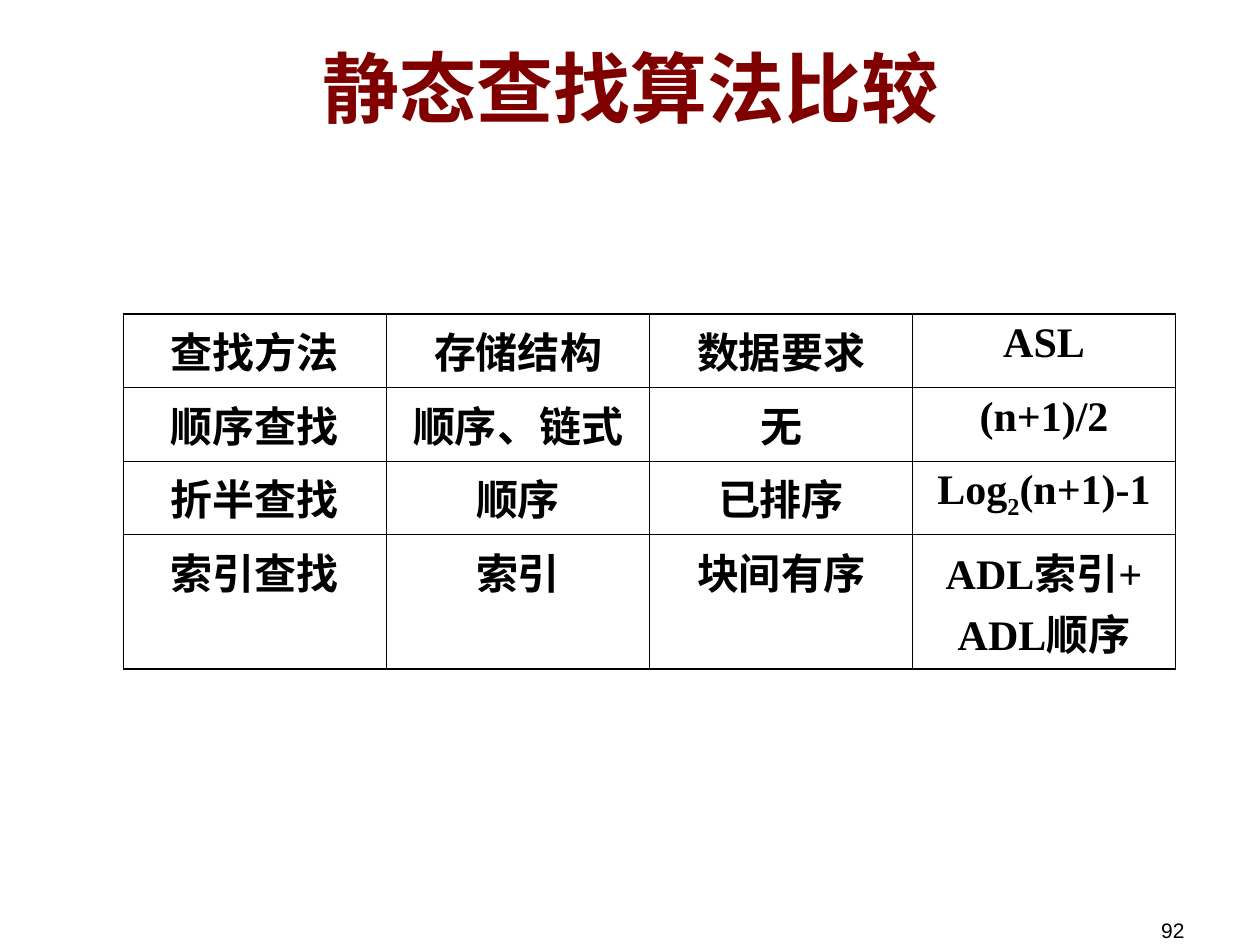
"""Build a slide comparing static search algorithms in a table."""
from lxml.etree import SubElement
from pptx import Presentation
from pptx.dml.color import RGBColor as Color
from pptx.enum.text import MSO_ANCHOR as Anchor, PP_ALIGN as Align
from pptx.oxml.ns import qn
from pptx.util import Inches, Pt

TITLE = "静态查找算法比较"
PAGE_NUMBER = "92"
ROWS = [
    ["查找方法", "存储结构", "数据要求", "ASL"],
    ["顺序查找", "顺序、链式", "无", "(n+1)/2"],
    ["折半查找", "顺序", "已排序", ("Log", "2", "(n+1)-1")],
    ["索引查找", "索引", "块间有序", "ADL索引+ ADL顺序"],
]
ROW_HEIGHTS = [0.5, 0.5, 0.56, 0.9]
TABLE_LEFT, TABLE_TOP, TABLE_WIDTH = 0.98, 2.49, 8.35

THEME = {
    "title": {"name": "Times New Roman", "size": Pt(44), "bold": True, "color": "800000"},
    "cell": {"name": "Times New Roman", "size": Pt(24), "bold": True, "color": "000000"},
    "number": {"name": "Arial", "size": Pt(12), "bold": False, "color": "000000"},
    "border": {"color": "000000", "outer": 1.08, "inner": 0.45},
}


def write(frame, parts, style, align):
    para = frame.paragraphs[0]
    para.alignment = align
    for index, text in enumerate(parts):
        span = para.add_run()
        span.text = text
        for name, value in THEME[style].items():
            if name == "color":
                span.font.color.rgb = Color.from_string(value)
            else:
                setattr(span.font, name, value)
        if index % 2:
            span.font._element.set("baseline", "-25000")


def place(shape, left, top, width, height):
    bounds = {"left": left, "top": top, "width": width, "height": height}
    for name, value in bounds.items():
        setattr(shape, name, Inches(value))


def set_borders(cell, outer_sides):
    border = THEME["border"]
    properties = cell._tc.get_or_add_tcPr()
    for side, is_outer in outer_sides.items():
        width = Pt(border["outer" if is_outer else "inner"])
        line = SubElement(properties, qn(f"a:ln{side}"), w=str(width))
        fill = SubElement(line, qn("a:solidFill"))
        SubElement(fill, qn("a:srgbClr"), val=border["color"])


def add_comparison(page):
    row_count, column_count = len(ROWS), len(ROWS[0])
    table = page.shapes.add_table(
        row_count, column_count, Inches(TABLE_LEFT), Inches(TABLE_TOP),
        Inches(TABLE_WIDTH), Inches(sum(ROW_HEIGHTS))).table
    table.first_row = table.horz_banding = False
    for row, height in zip(table.rows, ROW_HEIGHTS):
        row.height = Inches(height)
    for r, values in enumerate(ROWS):
        for c, value in enumerate(values):
            cell = table.cell(r, c)
            parts = [value] if isinstance(value, str) else value
            write(cell.text_frame, parts, "cell", Align.CENTER)
            set_borders(cell, {"L": c == 0, "R": c == column_count - 1,
                               "T": r == 0, "B": r == row_count - 1})
            cell.fill.background()


def main():
    deck = Presentation()
    deck.slide_width, deck.slide_height = Inches(10), Inches(7.5)
    page = deck.slides.add_slide(deck.slide_layouts[5])

    title = page.shapes.title
    place(title, 0.51, 0.13, 9, 1.12)
    title.text_frame.vertical_anchor = Anchor.MIDDLE
    write(title.text_frame, [TITLE], "title", Align.CENTER)

    add_comparison(page)

    box = page.shapes.add_textbox(0, 0, 0, 0)
    place(box, 7.17, 7.03, 2.33, 0.5)
    box.text_frame.word_wrap = True
    box.text_frame.vertical_anchor = Anchor.BOTTOM
    write(box.text_frame, [PAGE_NUMBER], "number", Align.RIGHT)

    deck.save("out.pptx")


if __name__ == "__main__":
    main()
